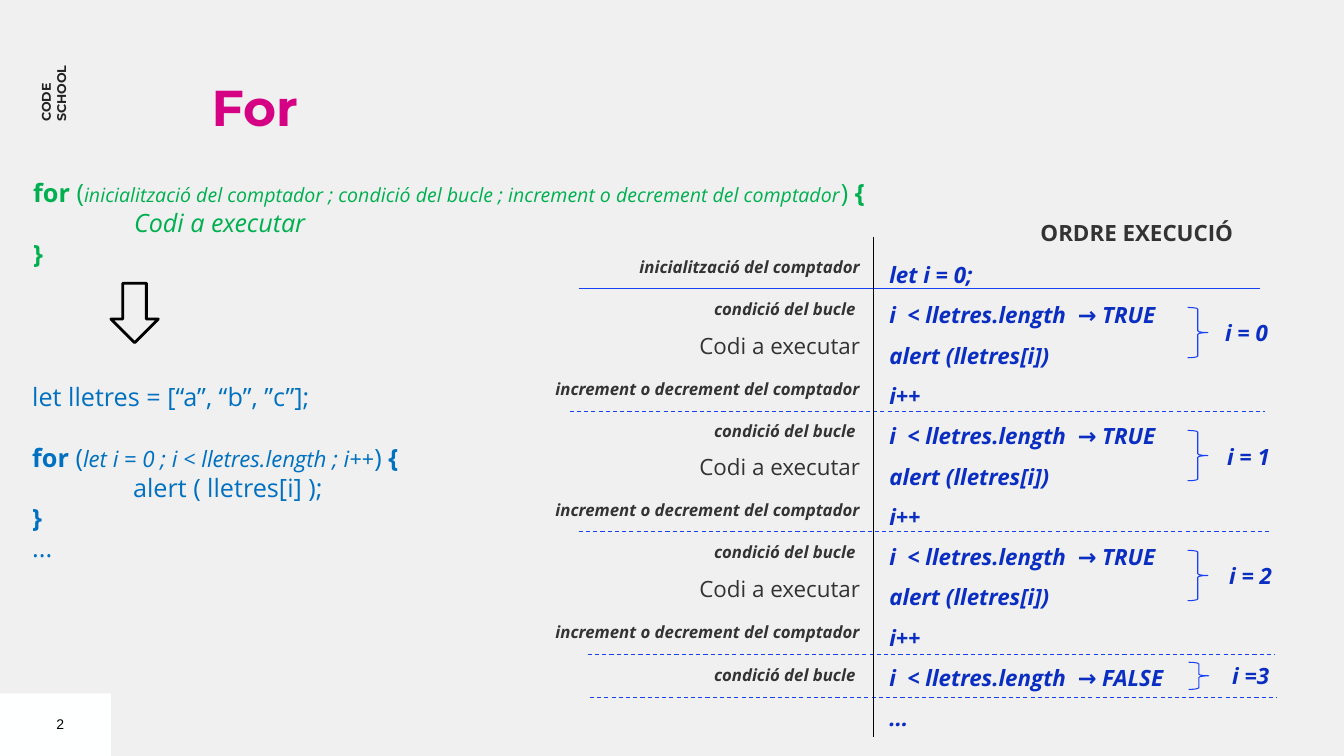
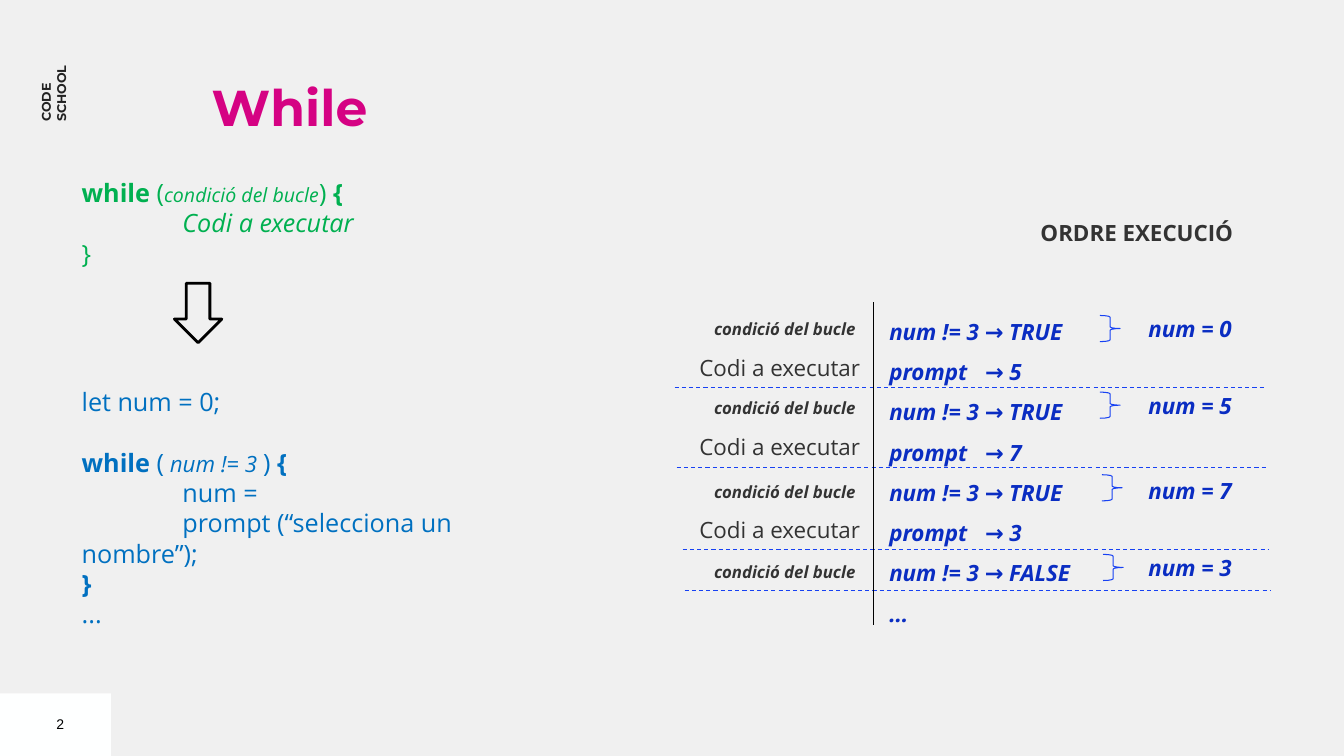
from lxml.etree import SubElement
from pptx import Presentation
from pptx.dml.color import RGBColor as RGB
from pptx.enum.dml import MSO_LINE as Dash
from pptx.enum.shapes import MSO_CONNECTOR as Link, MSO_SHAPE as Shape
from pptx.enum.text import PP_ALIGN as Align
from pptx.oxml.ns import qn
from pptx.util import Pt

PX = 9144
HUES = {
    "page": "F0F0F0", "band": "FEFFFF", "title": "D50283", "side": "222222",
    "black": "000000", "green": "00B050", "blue": "0070C0", "step": "0A2DC2",
    "rule": "1741F3", "label": "333333",
}
HUES = {name: RGB.from_string(code) for name, code in HUES.items()}


def write(slide, box, lines, hue, font="Open Sans", align=Align.LEFT, space=None, wrap=True):
    shape = slide.shapes.add_textbox(*(n * PX for n in box))
    frame = shape.text_frame
    frame.word_wrap = wrap
    frame.margin_left = frame.margin_right = frame.margin_top = frame.margin_bottom = 0
    for n, runs in enumerate(lines):
        para = frame.add_paragraph() if n else frame.paragraphs[0]
        para.alignment = align
        para.line_spacing = space
        for words, size, style in runs:
            run = para.add_run()
            run.text = words
            run.font.size = Pt(size)
            run.font.name = font
            run.font.bold = "b" in style
            run.font.italic = "i" in style
            run.font.color.rgb = HUES[hue]
    return shape


def rule(slide, x1, y1, x2, y2, hue, dash=False):
    line = slide.shapes.add_connector(Link.STRAIGHT, x1 * PX, y1 * PX, x2 * PX, y2 * PX)
    line.line.color.rgb = HUES[hue]
    line.line.width = Pt(0.75)
    if dash:
        line.line.dash_style = Dash.DASH
    SubElement(line._element.spPr, qn("a:effectLst"))


COND, CODE = "condició del bucle ", "Codi a executar"
START, NEXT = "inicialització del comptador", "increment o decrement del comptador"
TEST = "i\t< lletres.length\t→ "

PAGES = [
    {
        "title": "For",
        "form": (33, 176, 913, 91),
        "form lines": [
            [("for", 18, "b"), (" (", 18, ""),
             (f"{START} ; {COND}; {NEXT}", 14, "i"), (") ", 18, ""), ("{", 18, "b")],
            [(CODE, 18, "i")],
            [("}", 18, "b")],
        ],
        "case": (32, 378, 457, 212),
        "case lines": [
            [("let lletres = [“a”, “b”, ”c”];", 18, "")],
            [("for", 18, "b"), (" (", 18, ""),
             ("let i = 0 ; i < lletres.length ; i++", 16, "i"), (") ", 18, ""), ("{", 18, "b")],
            [("alert ( lletres[i] );", 18, "")],
            [("}", 18, "b")],
            [("...", 18, "")],
        ],
        "deep": [2],
        "arrow": 110,
        "steps": (882, 246, 333, 480),
        "step lines": ["let i = 0;"] + [TEST + "TRUE", "alert (lletres[i])", "i++"] * 3
        + [TEST + "FALSE", "..."],
        "tabs": [18, 187],
        "labels": [(START, 12, 255)]
        + [(COND, 12, y) for y in (296, 417, 537, 659)]
        + [(CODE, 16, y) for y in (330, 450, 571)]
        + [(NEXT, 12, y) for y in (376, 496, 617)],
        "turns": [
            (1178, 305, 50, 1215, 317, "i = 0"), (1178, 427, 50, 1217, 440, "i = 1"),
            (1178, 546, 50, 1219, 558, "i = 2"), (1179, 657, 27, 1222, 657, "i =3"),
        ],
        "axis": (235, 731),
        "rules": [
            (574, 1250, 286, False), (565, 1255, 408, True), (574, 1260, 527, True),
            (583, 1265, 649, True), (585, 1267, 692, True),
        ],
    },
    {
        "title": "While",
        "form": (81, 176, 588, 91),
        "form lines": [
            [("while", 18, "b"), (" (", 18, ""), (COND.strip(), 14, "i"),
             (") ", 18, ""), ("{", 18, "b")],
            [(CODE, 18, "i")],
            [("}", 18, "")],
        ],
        "case": (81, 383, 488, 242),
        "case lines": [
            [("let num = 0;", 18, "")],
            [("while ", 18, "b"), ("(", 18, ""), (" ", 16, "bi"), ("num != 3 ", 16, "i"),
             (") ", 18, ""), ("{", 18, "b")],
            [("num =", 18, "")],
            [("prompt (“selecciona un nombre”);", 18, "")],
            [("}", 18, "b")],
            [("...", 18, "")],
        ],
        "deep": [2, 3],
        "arrow": 173,
        "steps": (882, 302, 333, 318),
        "step lines": [
            "num != 3 → TRUE", "prompt\t→ 5", "num != 3 → TRUE", "prompt\t→ 7",
            "num != 3 → TRUE", "prompt\t→ 3", "num != 3 → FALSE", "...",
        ],
        "tabs": [95],
        "labels": [(COND, 12, y) for y in (316, 395, 478, 557)]
        + [(CODE, 16, y) for y in (351, 430, 512)],
        "turns": [
            (1091, 313, 26, 1139, 313, "num = 0"), (1091, 389, 26, 1139, 389, "num = 5"),
            (1093, 471, 26, 1139, 473, "num = 7"), (1094, 550, 26, 1139, 550, "num = 3"),
        ],
        "axis": (300, 620),
        "rules": [
            (669, 1255, 384, True), (671, 1257, 464, True),
            (677, 1258, 545, True), (679, 1260, 586, True),
        ],
    },
]

deck = Presentation()
deck.slide_width, deck.slide_height = 1333 * PX, 750 * PX
back = deck.slide_master.background.fill
back.solid()
back.fore_color.rgb = HUES["page"]

for page in PAGES:
    slide = deck.slides.add_slide(deck.slide_layouts[6])
    band = slide.shapes.add_shape(Shape.RECTANGLE, 0, 688 * PX, 110 * PX, 62 * PX)
    band.shadow.inherit = False
    band.fill.solid()
    band.fill.fore_color.rgb = HUES["band"]
    band.line.fill.background()

    write(slide, (210, 87, 712, 55), [[(page["title"], 36, "b")]], "title", "Montserrat", space=0.8)
    side = write(slide, (4, 72, 83, 15), [[("CODE SCHOOL", 9, "b")]], "side", "Montserrat", wrap=False)
    side.rotation = 270
    write(slide, (56, 710, 19, 16), [[("2", 10, "")]], "black", "Arial")

    form = write(slide, page["form"], page["form lines"], "green").text_frame.paragraphs
    case = write(slide, page["case"], page["case lines"], "blue").text_frame.paragraphs
    case[1].space_before = Pt(22)
    for para in [form[1]] + [case[n] for n in page["deep"]]:
        props = para._p.get_or_add_pPr()
        props.set("marL", "0")
        props.set("indent", str(100 * PX))

    steps = [[(words, 16, "bi")] for words in page["step lines"]]
    for para in write(slide, page["steps"], steps, "step", space=1.5).text_frame.paragraphs:
        stops = SubElement(para._p.get_or_add_pPr(), qn("a:tabLst"))
        for x in page["tabs"]:
            SubElement(stops, qn("a:tab"), pos=str(x * PX), algn="l")

    write(slide, (1024, 217, 199, 27), [[("ORDRE EXECUCIÓ", 16, "b")]], "label", align=Align.RIGHT)
    for words, size, y in page["labels"]:
        style = "bi" if size == 12 else ""
        write(slide, (468, y, 385, 27 if size == 16 else 20), [[(words, size, style)]],
              "label", align=Align.RIGHT)

    marks = [(Shape.DOWN_ARROW, page["arrow"], 281, 47, 59, "black", 2)]
    for x, y, h, left, top, tag in page["turns"]:
        marks.append((Shape.RIGHT_BRACE, x, y, 20, h, "rule", 0.75))
        write(slide, (left, top, 98, 27), [[(tag, 16, "bi")]], "step")
    for kind, x, y, w, h, hue, width in marks:
        mark = slide.shapes.add_shape(kind, x * PX, y * PX, w * PX, h * PX)
        mark.shadow.inherit = False
        mark.fill.background()
        mark.line.color.rgb = HUES[hue]
        mark.line.width = Pt(width)

    for x1, x2, y, dash in page["rules"]:
        rule(slide, x1, y, x2, y, "rule", dash)
    top, foot = page["axis"]
    rule(slide, 866, top, 866, foot, "black")

deck.save("out.pptx")
